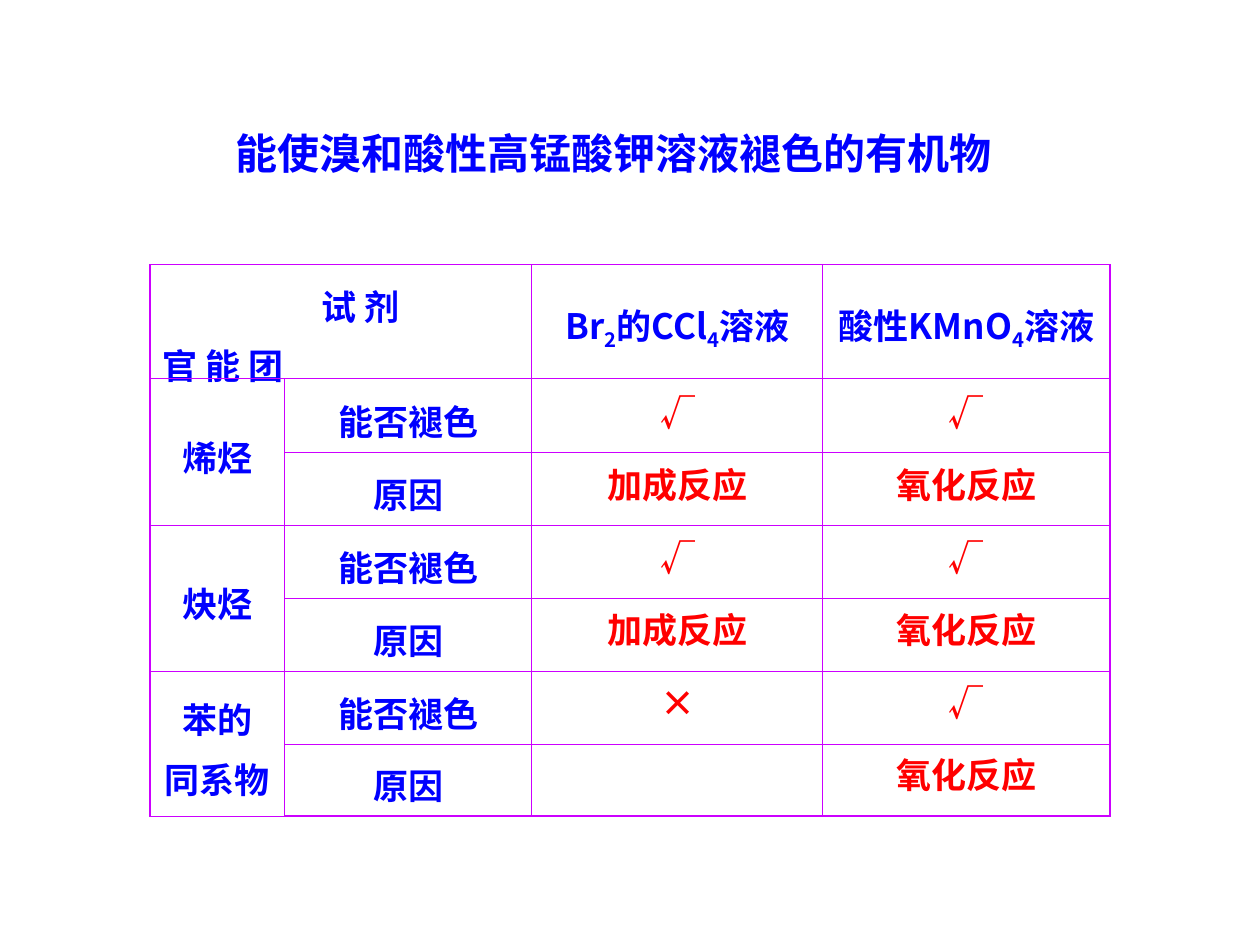
"""Build a slide on organic compounds that decolourise bromine and acidic permanganate."""
from pptx import Presentation
from pptx.dml.color import RGBColor
from pptx.enum.text import MSO_ANCHOR, MSO_AUTO_SIZE, PP_ALIGN
from pptx.oxml import parse_xml
from pptx.oxml.ns import nsdecls
from pptx.util import Inches, Pt

COLORS = {"label": "0000FF", "answer": "FF0000", "border": "CC00FF"}
FONT = "Noto Sans CJK SC"


def add_run(paragraph, text, color, size=20, subscript=False):
    run = paragraph.add_run()
    run.text = text
    run.font.size = Pt(size)
    run.font.bold = True
    run.font.name = FONT
    run.font.color.rgb = RGBColor.from_string(COLORS[color])
    properties = run._r.get_or_add_rPr()
    properties.append(parse_xml(f'<a:ea {nsdecls("a")} typeface="{FONT}"/>'))
    if subscript:
        properties.set("baseline", "-25000")


def add_text_box(left, top, width, height):
    text_box = slide.shapes.add_textbox(
        Inches(left), Inches(top), Inches(width), Inches(height))
    frame = text_box.text_frame
    frame.word_wrap = True
    frame.auto_size = MSO_AUTO_SIZE.SHAPE_TO_FIT_TEXT
    return frame


presentation = Presentation()
presentation.slide_width = Inches(10)
presentation.slide_height = Inches(7.5)
slide = presentation.slides.add_slide(presentation.slide_layouts[6])

title = add_text_box(1.77, 0.96, 6.46, 0.5)
add_run(title.paragraphs[0], "能使溴和酸性高锰酸钾溶液褪色的有机物", "label", 24)

column_widths = [1.07, 1.96, 2.31, 2.28]
row_heights = [0.84] + [0.58] * 5 + [0.57]
table = slide.shapes.add_table(
    len(row_heights), len(column_widths), Inches(1.19), Inches(2.1),
    Inches(sum(column_widths)), Inches(sum(row_heights))).table
table.first_row = False
table.horz_banding = False
for column, width in zip(table.columns, column_widths):
    column.width = Inches(width)
for row, height in zip(table.rows, row_heights):
    row.height = Inches(height)

last_row, last_column = len(row_heights) - 1, len(column_widths) - 1
for row_index in range(last_row + 1):
    for column_index in range(last_column + 1):
        cell = table.cell(row_index, column_index)
        cell.fill.background()
        cell.vertical_anchor = MSO_ANCHOR.MIDDLE
        cell.margin_top = Inches(0.12)
        outer_edges = {
            "lnL": column_index == 0, "lnR": column_index == last_column,
            "lnT": row_index == 0, "lnB": row_index == last_row}
        for position, (edge, is_outer) in enumerate(outer_edges.items()):
            line_width = Pt(1.08 if is_outer else 0.45)
            cell._tc.get_or_add_tcPr().insert(position, parse_xml(
                f'<a:{edge} {nsdecls("a")} w="{line_width}"><a:solidFill>'
                f'<a:srgbClr val="{COLORS["border"]}"/></a:solidFill></a:{edge}>'))

table.cell(0, 0).merge(table.cell(0, 1))
for row_index in (1, 3, 5):
    table.cell(row_index, 0).merge(table.cell(row_index + 1, 0))

labels = {
    (0, 0): [["试 剂"], ["官 能 团"]],
    (0, 2): [["Br", "2", "的CCl", "4", "溶液"]],
    (0, 3): [["酸性KMnO", "4", "溶液"]],
    (1, 0): [["烯烃"]],
    (3, 0): [["炔烃"]],
    (5, 0): [["苯的"], ["同系物"]],
}
for row_index in (1, 3, 5):
    labels[row_index, 1] = [["能否褪色"]]
    labels[row_index + 1, 1] = [["原因"]]

for (row_index, column_index), lines in labels.items():
    frame = table.cell(row_index, column_index).text_frame
    for line_index, parts in enumerate(lines):
        paragraph = frame.add_paragraph() if line_index else frame.paragraphs[0]
        paragraph.alignment = PP_ALIGN.CENTER
        if line_index:
            paragraph.space_before = Pt(5)
        for part in parts:
            add_run(paragraph, part, "label", subscript=part.isdigit())

reagent, functional_group = table.cell(0, 0).text_frame.paragraphs
reagent._p.get_or_add_pPr().set("marL", str(Inches(0.32)))
functional_group.alignment = PP_ALIGN.LEFT

answers = [
    ("√", "√"), ("加成反应", "氧化反应"),
    ("√", "√"), ("加成反应", "氧化反应"),
    ("×", "√"), ("", "氧化反应"),
]
for row_index, row_answers in enumerate(answers):
    for center, answer in zip((5.38, 7.67), row_answers):
        if answer:
            width = 0.85 if len(answer) == 1 else 2.34
            frame = add_text_box(
                center - width / 2, 2.95 + 0.575 * row_index, width, 0.54)
            frame.vertical_anchor = MSO_ANCHOR.BOTTOM
            paragraph = frame.paragraphs[0]
            paragraph.alignment = PP_ALIGN.CENTER
            paragraph.line_spacing = 1.3
            add_run(paragraph, answer, "answer")

presentation.save("out.pptx")
